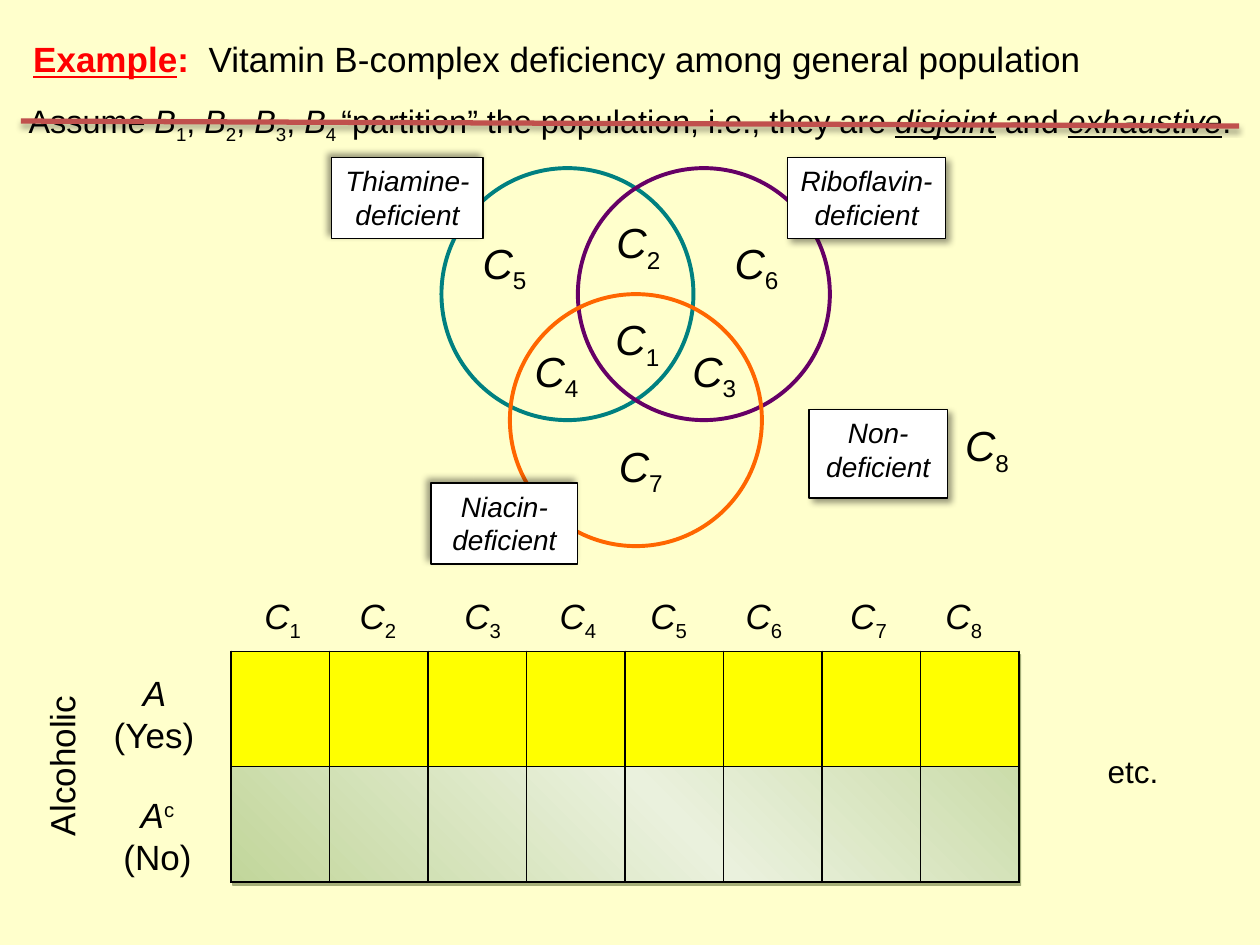
from copy import deepcopy

from lxml import etree
from pptx import Presentation, oxml
from pptx import util as u
from pptx.dml.color import RGBColor
from pptx.enum import shapes, text
from pptx.oxml.ns import qn

BLACK, WHITE, CREAM, YELLOW = "000000", "FFFFFF", "FFFFCC", "FFFF00"
CAUSES = 8


def color(value):
    return RGBColor.from_string(value)


def lengths(*values):
    return [u.Cm(value) for value in values]


def indexed(letter, number):
    return [(letter, "i"), (str(number), "-")]


def add_spans(frame, spans, size, align=None, after=0):
    """Add (text, style[, colour]) runs; style letters: b, i, u, - subscript, + superscript."""
    frame.word_wrap = True
    para = frame.paragraphs[0]
    para.alignment = align
    para.space_after = u.Pt(after)
    for words, style, *tint in spans:
        span = para.add_run()
        span.text = words
        font = span.font
        font.name, font.size = "Arial", u.Pt(size)
        font.color.rgb = color(tint[0] if tint else BLACK)
        font.bold, font.italic, font.underline = ("b" in style, "i" in style, "u" in style)
        if "-" in style or "+" in style:
            baseline = "-25000" if "-" in style else "30000"
            span._r.get_or_add_rPr().set("baseline", baseline)


def add_text(page, box, spans, size, align=text.PP_ALIGN.CENTER, after=0):
    shape = page.shapes.add_textbox(*lengths(*box))
    add_spans(shape.text_frame, spans, size, align, after)
    return shape


def add_shape(page, kind, box, fill=None, line=None, width=0.75):
    shape = page.shapes.add_shape(kind, *lengths(*box))
    shape.shadow.inherit = False
    if fill:
        shape.fill.solid()
        shape.fill.fore_color.rgb = color(fill)
    else:
        shape.fill.background()
    if line:
        shape.line.color.rgb = color(line)
        shape.line.width = u.Pt(width)
    else:
        shape.line.fill.background()
    return shape


def set_shadow(shape, tint, alpha, blur, distance, angle):
    properties = shape._element.spPr
    effects = properties.find(qn("a:effectLst"))
    if effects is None:
        effects = etree.SubElement(properties, qn("a:effectLst"))
    shadow = etree.SubElement(
        effects, qn("a:outerShdw"), blurRad=str(u.Pt(blur)), dist=str(u.Pt(distance)),
        dir=str(angle * 60000), algn="ctr", rotWithShape="0")
    shade = etree.SubElement(shadow, qn("a:srgbClr"), val=tint)
    etree.SubElement(shade, qn("a:alpha"), val=str(alpha * 1000))


def add_label(page, box, words, shadow_angle):
    label = add_shape(page, shapes.MSO_SHAPE.RECTANGLE, box, WHITE, BLACK)
    set_shadow(label, BLACK, 40, 4, 3, shadow_angle)
    label.text_frame.vertical_anchor = text.MSO_ANCHOR.TOP
    add_spans(label.text_frame, [(words, "i")], 16, text.PP_ALIGN.CENTER)


def add_heading(page, left, top, width):
    add_text(page, (left + 0.42, top, width - 0.84, 1.12), [
        ("Example", "bu", "FF0000"), (":", "b", "FF0000"),
        ("  Vitamin B-complex deficiency among general population", "")],
        20, text.PP_ALIGN.LEFT)

    assumption = [("Assume ", "")]
    for number in range(1, 4):
        assumption += indexed("B", number) + [(", ", "")]
    assumption += [
        ("B", "i"), ("4 ", "-"), ("“partition” the population, i.e., they are ", ""),
        ("disjoint", "iu"), (" and ", ""), ("exhaustive", "iu"), (".", "")]
    add_text(page, (left, top + 1.27, width, 1.04), assumption, 18.5)

    strike = page.shapes.add_connector(
        shapes.MSO_CONNECTOR.STRAIGHT,
        *lengths(left + 0.42, top + 1.8, left + width - 0.42, top + 1.9))
    strike.line.color.rgb = color("C0504D")
    strike.line.width = u.Pt(3)
    set_shadow(strike, BLACK, 35, 3.1, 1.8, 90)


def add_venn(page, left, top):
    diameter = 5.08
    add_label(page, (left + 9.62, top + 5.08, 2.79, 1.78), "Non-deficient", 45)
    sets = [
        ("Thiamine-deficient", "008080", (2.21, 0.21), (0, 0, 3.05), 225),
        ("Riboflavin-deficient", "660066", (4.96, 0.21), (9.19, 0, 3.18), 45),
        ("Niacin-deficient", "FF6600", (3.59, 2.75), (2, 6.56, 2.96), 225),
    ]
    for words, tint, (x, y), (label_x, label_y, label_width), angle in sets:
        add_shape(page, shapes.MSO_SHAPE.OVAL, (left + x, top + y, diameter, diameter),
                  line=tint, width=2.25)
        add_label(page, (left + label_x, top + label_y, label_width, 1.63), words, angle)

    regions = [(5.31, 3.02), (5.33, 1.06), (6.86, 3.66), (3.68, 3.66),
               (2.63, 1.48), (7.71, 1.48), (5.38, 5.57), (12.36, 5.16)]
    for number, (x, y) in enumerate(regions, 1):
        add_text(page, (left + x, top + y, 1.7, 1.27), indexed("C", number), 24)


def add_borders(cell):
    properties = cell._tc.get_or_add_tcPr()
    for position, side in enumerate(("lnL", "lnR", "lnT", "lnB")):
        properties.insert(position, oxml.parse_xml(
            f'<a:{side} xmlns:a="http://schemas.openxmlformats.org/drawingml/2006/main" '
            f'w="12700"><a:solidFill><a:srgbClr val="{BLACK}"/></a:solidFill></a:{side}>'))


def add_grid(page, box, row_fills):
    """Add a ruled table with one row per fill; None leaves a row clear."""
    table = page.shapes.add_table(len(row_fills), CAUSES, *lengths(*box)).table
    table.first_row = table.horz_banding = False
    for row, fill in zip(table.rows, row_fills):
        for cell in row.cells:
            if fill:
                cell.fill.solid()
                cell.fill.fore_color.rgb = color(fill)
            else:
                cell.fill.background()
            add_borders(cell)


def add_population(page, box):
    """Place the shaded block and its division into eight columns."""
    block = add_shape(page, shapes.MSO_SHAPE.RECTANGLE, box, line="006600")
    block.fill.gradient()
    block.fill.gradient_angle = 45
    first, last = block.fill.gradient_stops
    first.color.rgb, last.color.rgb = color("EAF1DD"), color("C2D69B")
    first.position, last.position = 0.5, 1
    stops = block._element.spPr.find(".//" + qn("a:gsLst"))
    start = deepcopy(stops[1])
    start.set("pos", "0")
    stops.insert(0, start)
    set_shadow(block, "4E6128", 50, 0, 2.2, 63)
    add_grid(page, box, [None])


def add_column_labels(page, box):
    spans = indexed("C", 1)
    for number in range(2, CAUSES + 1):
        spans += [("\t", "")] + indexed("C", number)
    labels = add_text(page, box, spans, 20, text.PP_ALIGN.LEFT)
    labels.text_frame.margin_left = u.Cm(0.38)
    tabs = etree.SubElement(labels.text_frame.paragraphs[0]._p.get_or_add_pPr(), qn("a:tabLst"))
    for stop in (1.92, 4.03, 5.95, 7.78, 9.7, 11.81, 13.73):
        etree.SubElement(tabs, qn("a:tab"), pos=str(u.Cm(stop)), algn="l")


def add_alcoholic_rows(page, left, top, width, height):
    add_text(page, (left - 2.7, top + 0.28, 2.29, 2.03),
             [("A ", "i"), ("(Yes)", "")], 20, after=10)
    add_text(page, (left - 2.5, top + 2.74, 2.03, 1.78),
             [("A", "i"), ("c", "+"), (" (No)", "")], 20, after=10)
    axis = add_text(page, (left - 3.97, top - 0.23, 1.27, 5.08),
                    [("Alcoholic", "")], 20, after=10)
    axis.text_frame._txBody.bodyPr.set("vert", "vert270")
    more = add_shape(page, shapes.MSO_SHAPE.RECTANGLE,
                     (left + 16.15, top + 1.9, 4.06, 1.02), CREAM)
    add_spans(more.text_frame, [("etc.", "")], 18, text.PP_ALIGN.CENTER)
    add_grid(page, (left, top, width, height), [YELLOW, None])
    add_column_labels(page, (left + 0.29, top - 1.27, 15.24, 2.54))


def main():
    deck = Presentation()
    deck.slide_width, deck.slide_height = lengths(25.4, 19.05)
    page = deck.slides.add_slide(deck.slide_layouts[6])
    page.background.fill.solid()
    page.background.fill.fore_color.rgb = color(CREAM)
    grid_box = (4.66, 13.13, 15.88, 4.65)
    add_population(page, grid_box)
    add_heading(page, 0, 0.64, 25.4)
    add_venn(page, 6.69, 3.18)
    add_alcoholic_rows(page, *grid_box)
    deck.save("out.pptx")


if __name__ == "__main__":
    main()
